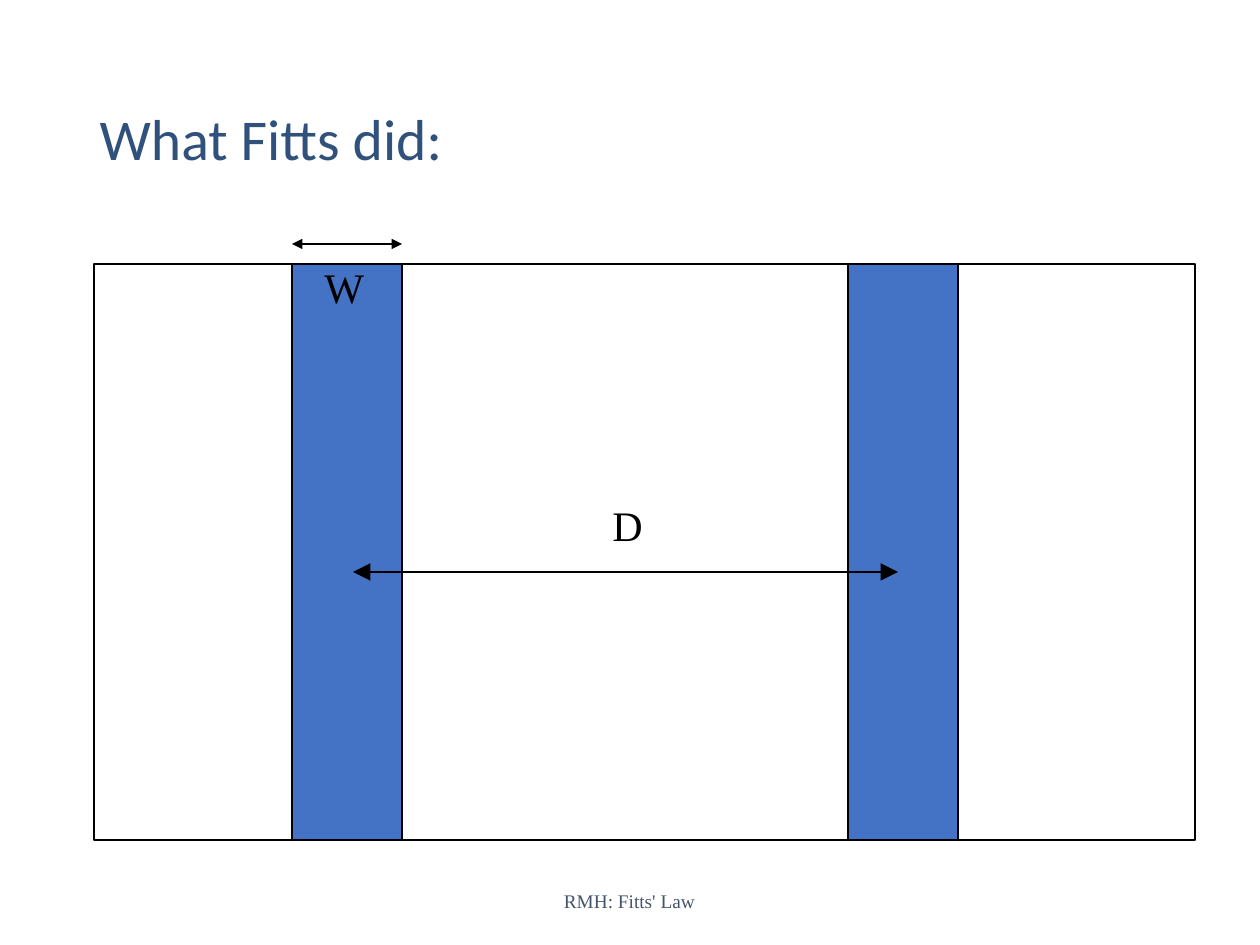
import pptx
import pptx.util
import pptx.dml.color
import pptx.enum.shapes
import pptx.enum.text
import pptx.oxml

PX = 914400 / 126  # EMU in one px

THEME = {
    "title": ("Calibri", 33, "31517D"),
    "footer": ("Times New Roman", 11, "44546A"),
    "label": ("Times New Roman", 24, "000000"),
    "target": "4472C4",
    "line": "000000",
}

# Content: boxes are left, top, width, height in px
TITLE = ("What Fitts did:", (87, 50, 1087, 183))
FOOTER = ("RMH: Fitts' Law", (417, 876, 425, 50))
BOARD = (94, 264, 1101, 576)
TARGET_LEFTS = (292, 848)
TARGET_WIDTH = 110
LABELS = [("D", (600, 493, 59, 63)), ("W", (312, 255, 69, 63))]
# Start x, end x, y, line width in points, arrowhead size
ARROWS = [
    (353, 898, 572, 1, "lg"),
    (TARGET_LEFTS[0], TARGET_LEFTS[0] + TARGET_WIDTH, 244, 0.75, "med"),
]


def emu(*lengths):
    return [pptx.util.Emu(round(length * PX)) for length in lengths]


def color(name):
    return pptx.dml.color.RGBColor.from_string(name)


def write(shape, text, style, align, anchor):
    font_name, size, font_color = THEME[style]
    frame = shape.text_frame
    frame.word_wrap = True
    frame.vertical_anchor = anchor
    paragraph = frame.paragraphs[0]
    paragraph.alignment = align
    run = paragraph.add_run()
    run.text = text
    run.font.name = font_name
    run.font.size = pptx.util.Pt(size)
    run.font.color.rgb = color(font_color)
    return paragraph


def add_rectangle(slide, box, fill=None):
    shape = slide.shapes.add_shape(
        pptx.enum.shapes.MSO_SHAPE.RECTANGLE, *emu(*box))
    shape.shadow.inherit = False
    if fill:
        shape.fill.solid()
        shape.fill.fore_color.rgb = color(fill)
    else:
        shape.fill.background()
    shape.line.color.rgb = color(THEME["line"])
    shape.line.width = pptx.util.Pt(0.75)


def add_double_arrow(slide, start, end, y, width, head_size):
    connector = slide.shapes.add_connector(
        pptx.enum.shapes.MSO_CONNECTOR.STRAIGHT, *emu(start, y, end, y))
    connector.line.color.rgb = color(THEME["line"])
    connector.line.width = pptx.util.Pt(width)
    line = connector.line._get_or_add_ln()
    namespace = pptx.oxml.ns.nsdecls("a")
    for end_name in ("headEnd", "tailEnd"):
        line.append(pptx.oxml.parse_xml(
            f'<a:{end_name} {namespace} type="triangle" '
            f'w="{head_size}" len="{head_size}"/>'))
    connector._element.spPr.append(
        pptx.oxml.parse_xml(f"<a:effectLst {namespace}/>"))


def main():
    align = pptx.enum.text.PP_ALIGN
    anchor = pptx.enum.text.MSO_ANCHOR
    presentation = pptx.Presentation()
    presentation.slide_width = pptx.util.Inches(10)
    presentation.slide_height = pptx.util.Inches(7.5)
    slide = presentation.slides.add_slide(presentation.slide_layouts[5])

    # Title and footer
    text, box = TITLE
    title = slide.shapes.title
    title.left, title.top, title.width, title.height = emu(*box)
    paragraph = write(title, text, "title", align.LEFT, anchor.MIDDLE)
    paragraph.line_spacing = 0.9
    text, box = FOOTER
    footer = slide.shapes.add_textbox(*emu(*box))
    write(footer, text, "footer", align.CENTER, anchor.MIDDLE)

    # Board with its two targets
    add_rectangle(slide, BOARD)
    for left in TARGET_LEFTS:
        add_rectangle(slide, (left, BOARD[1], TARGET_WIDTH, BOARD[3]),
                      THEME["target"])

    # Distance and width measures
    for arrow in ARROWS:
        add_double_arrow(slide, *arrow)
    for text, box in LABELS:
        label = slide.shapes.add_textbox(*emu(*box))
        write(label, text, "label", align.LEFT, anchor.TOP)

    presentation.save("out.pptx")


if __name__ == "__main__":
    main()
